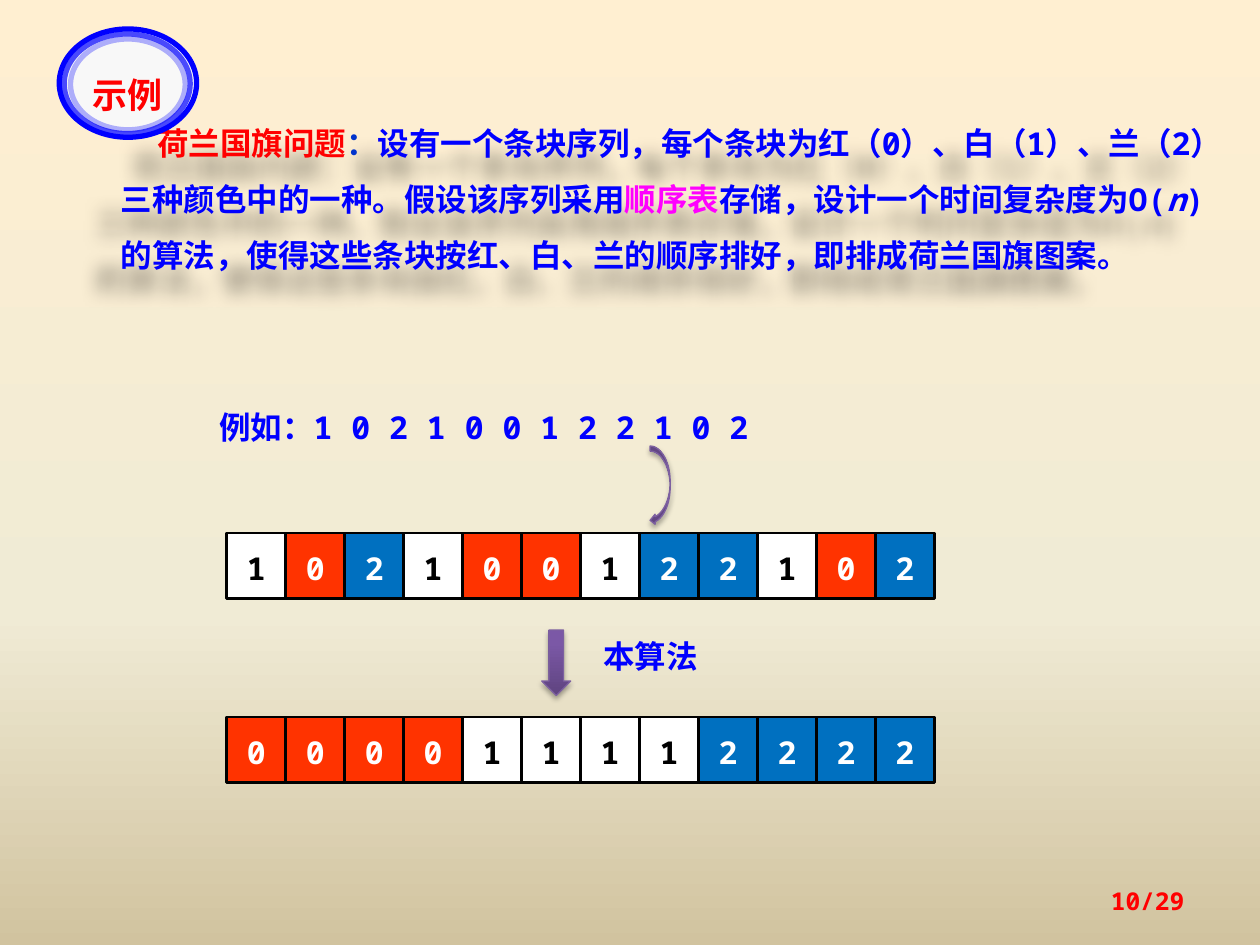
from lxml.etree import SubElement
from pptx import Presentation
from pptx.dml.color import RGBColor
from pptx.enum.shapes import MSO_SHAPE
from pptx.enum.text import MSO_ANCHOR, MSO_AUTO_SIZE, PP_ALIGN
from pptx.oxml.ns import qn
from pptx.util import Inches, Pt

COLUMNS, ROWS = 100, 75
RED, BLUE, BLACK, WHITE = "FF0000", "0000FF", "000000", "FFFFFF"
MONO, CJK_SC, CJK_JP = "Noto Sans Mono", "Noto Sans CJK SC", "Noto Sans CJK JP"
BLOCKS = {"0": ("FF3300", WHITE), "1": (WHITE, BLACK), "2": ("0070C0", WHITE)}
SEQUENCE = "102100122102"


def colour(value):
    """Turn a hex string into a colour."""
    return RGBColor.from_string(value)


def child(parent, tag, **attributes):
    """Append an XML element with the given attributes."""
    return SubElement(parent, qn(tag), {k: str(v) for k, v in attributes.items()})


def add_gradient(fill, element, stops, angle):
    """Fill with a linear gradient of (percent, colour) stops."""
    fill.gradient()
    gradient = element.xpath(".//a:gradFill")[0]
    for part in list(gradient):
        gradient.remove(part)
    stop_list = child(gradient, "a:gsLst")
    for percent, value in stops:
        stop = child(stop_list, "a:gs", pos=percent * 1000)
        child(stop, "a:srgbClr", val=value)
    child(gradient, "a:lin", ang=angle * 60000, scaled=0)


def add_shadow(shape, alpha, blur, distance, angle):
    """Give a shape a soft black outer shadow."""
    shape.shadow.inherit = False
    effects = shape.element.xpath("./p:spPr/a:effectLst")[0]
    shadow = child(effects, "a:outerShdw", blurRad=Pt(blur), dist=Pt(distance),
                   dir=angle * 60000, algn="ctr", rotWithShape=0)
    child(child(shadow, "a:srgbClr", val=BLACK), "a:alpha", val=alpha * 1000)


def add_span(para, text, size=18, font=MONO, color=BLUE, italic=False, east=CJK_SC):
    """Add one bold run of text to a paragraph."""
    span = para.add_run()
    span.text = text
    span.font.size, span.font.name = Pt(size), font
    span.font.bold, span.font.italic = True, italic
    span.font.color.rgb = colour(color)
    child(span.font._element, "a:ea", typeface=east)


class Deck:
    """Holds the presentation, its current page and the shared style."""

    def __init__(self, width=10, height=7.5):
        self.deck = Presentation()
        self.deck.slide_width, self.deck.slide_height = Inches(width), Inches(height)
        self.page = self.deck.slides.add_slide(self.deck.slide_layouts[6])

    def place(self, column, row, columns, rows):
        """Convert grid units to slide lengths."""
        across = self.deck.slide_width / COLUMNS
        down = self.deck.slide_height / ROWS
        return [round(n) for n in (column * across, row * down, columns * across, rows * down)]

    def background(self, stops):
        """Shade the page from top to bottom."""
        add_gradient(self.page.background.fill, self.page.element, stops, 90)

    def text(self, area, spans, align=PP_ALIGN.LEFT, spacing=1.1, indent=0,
             anchor=MSO_ANCHOR.TOP, grow=True, home=None):
        """Add a text box made of (text, format) spans."""
        box = (home or self.page).shapes.add_textbox(*self.place(*area))
        frame = box.text_frame
        frame.word_wrap, frame.vertical_anchor = True, anchor
        frame.auto_size = MSO_AUTO_SIZE.SHAPE_TO_FIT_TEXT if grow else MSO_AUTO_SIZE.NONE
        para = frame.paragraphs[0]
        para.alignment, para.line_spacing = align, spacing
        if indent:
            para._p.get_or_add_pPr().set("indent", str(Inches(indent)))
        for text, style in spans:
            add_span(para, text, **style)
        return box

    def shape(self, kind, area, fill=None, line=BLACK, weight=1.5, alpha=None, home=None):
        """Add a preset shape with a plain fill and outline."""
        shape = (home or self.page).shapes.add_shape(kind, *self.place(*area))
        shape.shadow.inherit = False
        if fill:
            shape.fill.solid()
            shape.fill.fore_color.rgb = colour(fill)
        else:
            shape.fill.background()
        shape.line.color.rgb, shape.line.width = colour(line), Pt(weight)
        if alpha:
            ink = shape.element.xpath(".//a:ln//a:srgbClr")[0]
            child(ink, "a:alpha", val=alpha * 1000)
        return shape

    def arrow(self, kind, area):
        """Add a shaded purple arrow."""
        arrow = self.shape(kind, area, line="7D60A0", weight=0.75)
        stops = [(0, "5F4480"), (80, "7B58A6"), (100, "7C57A8")]
        add_gradient(arrow.fill, arrow.element, stops, 270)
        add_shadow(arrow, 35, 3.1, 1.8, 90)

    def block_row(self, digits, row, left=18, width=4.68, height=5.2):
        """Add a grouped row of blocks coloured by digit."""
        group = self.page.shapes.add_group_shape()
        for index, digit in enumerate(digits):
            fill, ink = BLOCKS[digit]
            area = (left + index * width, row, width, height)
            block = self.shape(MSO_SHAPE.RECTANGLE, area, fill, home=group)
            block.text_frame.vertical_anchor = MSO_ANCHOR.MIDDLE
            para = block.text_frame.paragraphs[0]
            para.alignment, para.line_spacing = PP_ALIGN.CENTER, 1.1
            add_span(para, digit, color=ink)

    def badge(self, text):
        """Add the ringed oval label."""
        group = self.page.shapes.add_group_shape()
        rings = [((4.7, 2.3, 10.9, 8.6), "F8F8F8", None),
                 ((5.1, 2.7, 10, 7.9), None, 70),
                 ((5.6, 3.1, 9.1, 7.2), None, 30)]
        for area, fill, alpha in rings:
            self.shape(MSO_SHAPE.OVAL, area, fill, BLUE, 3, alpha, group)
        style = dict(size=20, font=CJK_JP, color=RED, east=CJK_JP)
        self.text((5.3, 5, 9.6, 3.9), [(text, style)], PP_ALIGN.CENTER, home=group)


def main():
    """Build the page and save it."""
    deck = Deck()
    deck.background([(0, "FFEFD1"), (65, "F0EBD5"), (100, "D1C39F")])
    problem = deck.text((8.6, 7.9, 89.8, 14), [
        ("荷兰国旗问题", dict(color=RED, font=CJK_SC)),
        ("：", dict(color="0033CC")),
        ("设有一个条块序列，每个条块为红（0）、白（1）、兰（2）三种颜色中的一种。"
         "假设该序列采用", {}),
        ("顺序表", dict(color="FF00FF")),
        ("存储，设计一个时间复杂度为O(", {}),
        ("n", dict(italic=True)),
        (")的算法，使得这些条块按红、白、兰的顺序排好，即排成荷兰国旗图案。", {}),
    ], spacing=Pt(32), indent=0.29)
    add_shadow(problem, 35, 10, 20, 140)
    deck.text((16.4, 31.6, 55.5, 4.1), [("例如：" + " ".join(SEQUENCE), {})])
    deck.block_row(SEQUENCE, 42.3)
    deck.arrow(MSO_SHAPE.CURVED_LEFT_ARROW, (51.6, 35.4, 1.6, 6.3))
    deck.block_row(sorted(SEQUENCE), 56.9)
    deck.arrow(MSO_SHAPE.DOWN_ARROW, (43, 50, 2.3, 5.2))
    deck.text((46.9, 49.8, 13.3, 3.9), [("本算法", dict(font=CJK_SC))])
    deck.badge("示例")
    deck.text((71.7, 69.5, 23.3, 4), [("10/29", dict(size=14, color=RED))],
              PP_ALIGN.RIGHT, 1.0, anchor=MSO_ANCHOR.MIDDLE, grow=False)
    deck.deck.save("out.pptx")


main()
